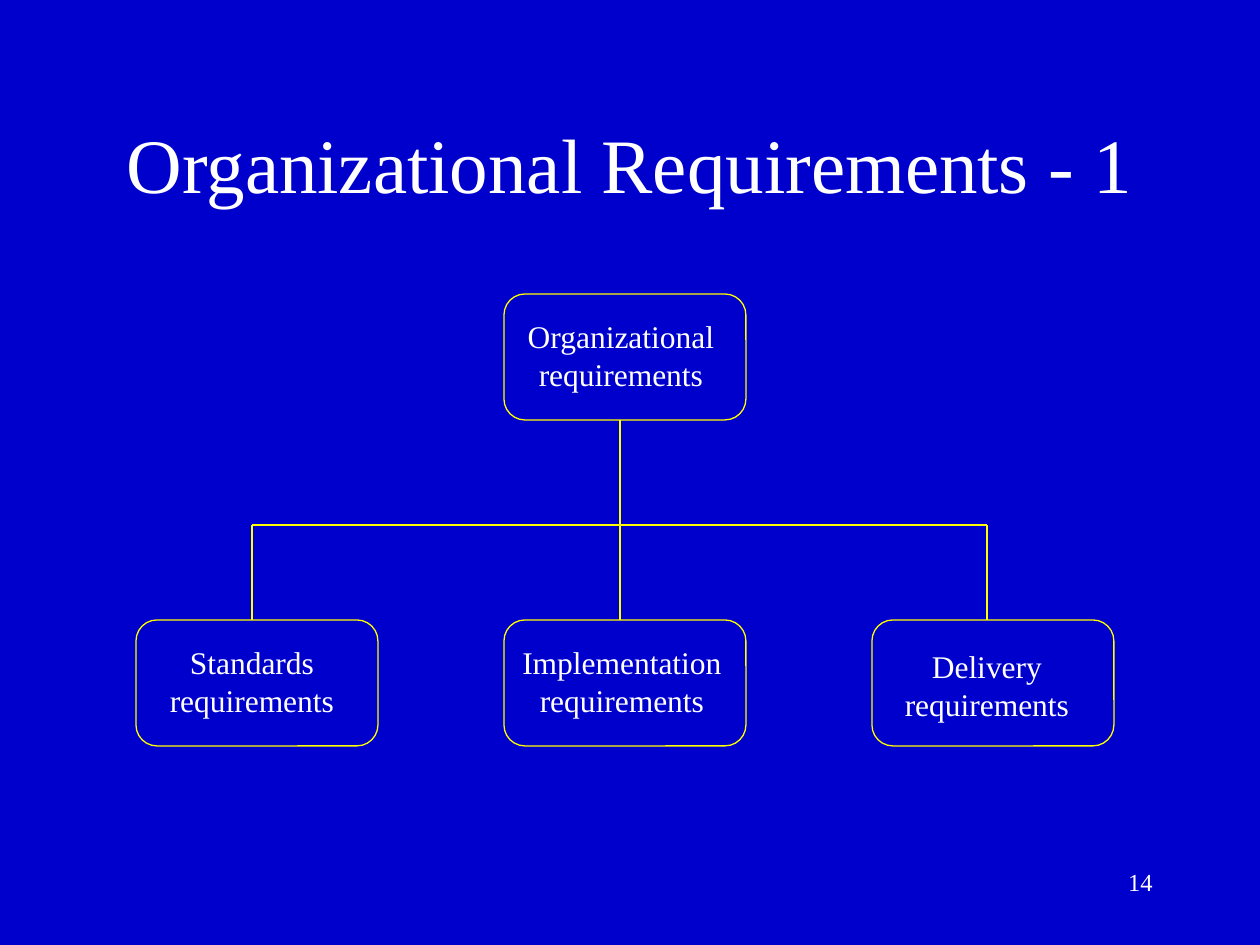
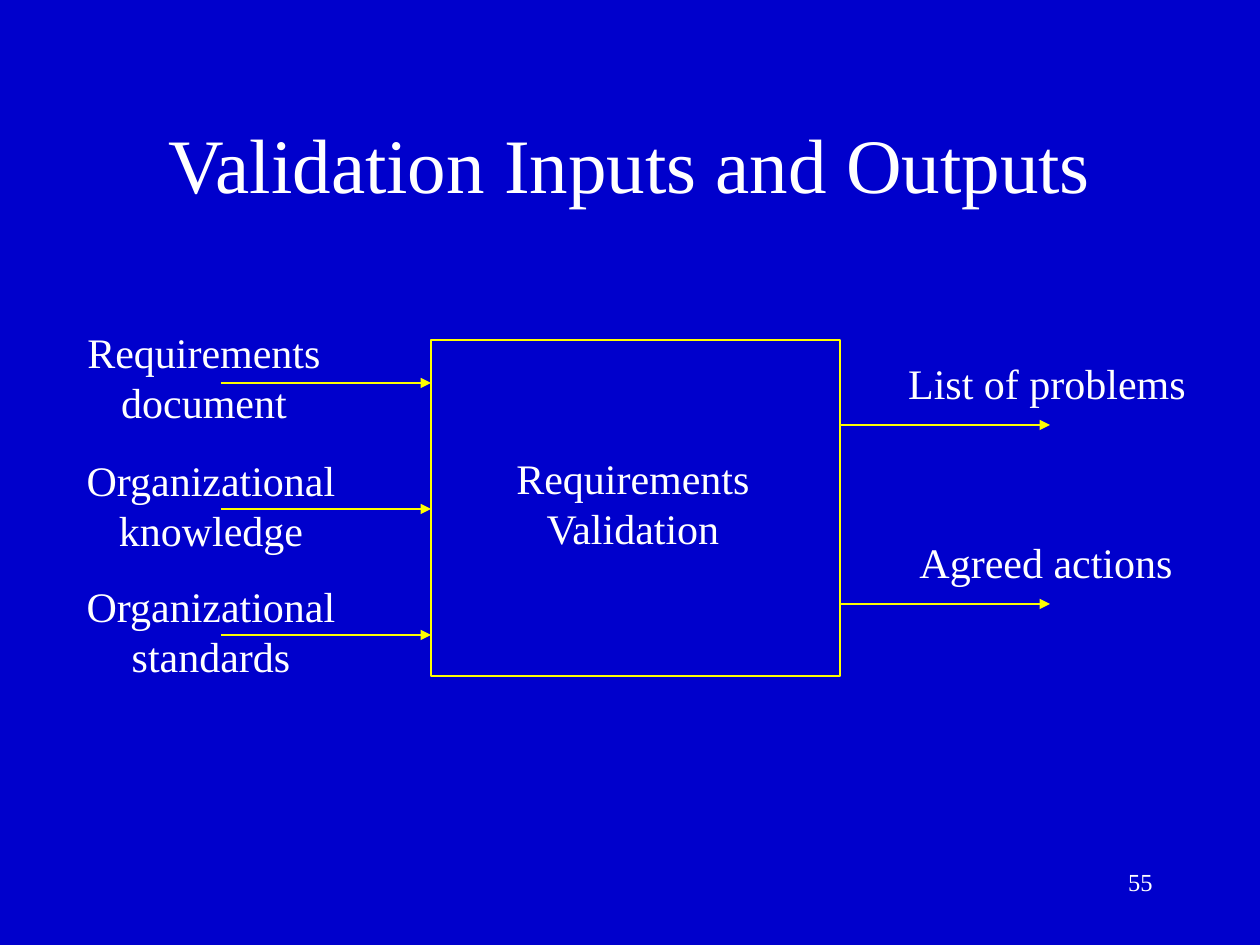
from lxml import etree
from pptx import Presentation
from pptx.dml.color import RGBColor
from pptx.enum.shapes import MSO_CONNECTOR as Connector, MSO_SHAPE as Shape
from pptx.enum.text import MSO_ANCHOR as Anchor, MSO_AUTO_SIZE as AutoSize, PP_ALIGN as Align
from pptx.oxml.ns import qn
from pptx.util import Emu, Pt

PX_PER_INCH = 126
COLOURS = {"background": "0000CC", "text": "FFFFFF", "line": "FFFF00"}
FONT = "Times New Roman"
LINE_WIDTH = Pt(0.75)


def px(length):
    return Emu(round(length * 914400 / PX_PER_INCH))


def colour(name):
    return RGBColor.from_string(COLOURS[name])


def add_text(slide, box, lines, size, align=Align.CENTER):
    """Put each line in a paragraph of its own and return the text frame."""
    frame = slide.shapes.add_textbox(*map(px, box)).text_frame
    frame.word_wrap = True
    for index, line in enumerate(lines):
        paragraph = frame.add_paragraph() if index else frame.paragraphs[0]
        paragraph.alignment = align
        run = paragraph.add_run()
        run.text = line
        run.font.name = FONT
        run.font.size = Pt(size)
        run.font.color.rgb = colour("text")
    return frame


def add_label(slide, centre, top, width, lines, size):
    """Add unwrapped text that grows around a horizontal centre."""
    height = round(len(lines) * size * 2.1 + 13)
    frame = add_text(slide, (centre - width / 2, top, width, height), lines, size)
    frame.word_wrap = False
    frame.auto_size = AutoSize.SHAPE_TO_FIT_TEXT


def add_outline(slide, kind, left, top, width, height):
    shape = slide.shapes.add_shape(kind, px(left), px(top), px(width), px(height))
    shape.shadow.inherit = False
    shape.fill.background()
    shape.line.color.rgb = colour("line")
    shape.line.width = LINE_WIDTH


def add_line(slide, start, end, arrow=False):
    connector = slide.shapes.add_connector(
        Connector.STRAIGHT, *map(px, start), *map(px, end))
    connector.line.color.rgb = colour("line")
    connector.line.width = LINE_WIDTH
    properties = connector._element.spPr
    if arrow:
        etree.SubElement(properties.find(qn("a:ln")), qn("a:tailEnd"), type="triangle")
    etree.SubElement(properties, qn("a:effectLst"))


def add_slide(presentation, title, number):
    """Add a slide with the shared background, title and page number."""
    slide = presentation.slides.add_slide(presentation.slide_layouts[6])
    slide.background.fill.solid()
    slide.background.fill.fore_color.rgb = colour("background")
    frame = add_text(slide, (94, 84, 1072, 158), [title], 44)
    frame.vertical_anchor = Anchor.MIDDLE
    add_text(slide, (903, 861, 262, 63), [str(number)], 14, Align.RIGHT)
    return slide


def build_hierarchy(presentation):
    slide = add_slide(presentation, "Organizational Requirements - 1", 14)
    box_width, box_height = 242, 126
    root_top, branch_y, child_top = 294, 525, 620
    left_x, middle_x, right_x = 252, 620, 987

    add_outline(slide, Shape.ROUNDED_RECTANGLE, 504, root_top, box_width, box_height)
    for column in range(3):
        add_outline(slide, Shape.ROUNDED_RECTANGLE, 136 + 368 * column, child_top,
                    box_width, box_height)

    add_line(slide, (middle_x, root_top + box_height), (middle_x, child_top))
    add_line(slide, (left_x, branch_y), (right_x, branch_y))
    for x in (left_x, right_x):
        add_line(slide, (x, child_top), (x, branch_y))

    for name, centre, top, width in (
        ("Organizational", 621, 311, 220),
        ("Standards", 252, 637, 200),
        ("Implementation", 622, 637, 236),
        ("Delivery", 987, 641, 200),
    ):
        add_label(slide, centre, top, width, [name, "requirements"], 18)


def build_validation_flow(presentation):
    slide = add_slide(presentation, "Validation Inputs and Outputs", 55)
    box_left, box_width, arrow_length = 431, 409, 210
    box_right = box_left + box_width
    add_outline(slide, Shape.RECTANGLE, box_left, 340, box_width, 336)

    for row in range(3):
        y = 383 + 126 * row
        add_line(slide, (box_left - arrow_length, y), (box_left, y), arrow=True)
    for y in (425, 604):
        add_line(slide, (box_right, y), (box_right + arrow_length, y), arrow=True)

    for lines, centre, top, width in (
        (["Requirements", "Validation"], 633, 446, 270),
        (["Requirements", "document"], 204, 320, 270),
        (["Organizational", "knowledge"], 211, 448, 286),
        (["Organizational", "standards"], 211, 574, 286),
        (["List of problems"], 1047, 351, 314),
        (["Agreed actions"], 1046, 530, 290),
    ):
        add_label(slide, centre, top, width, lines, 24)


def main():
    presentation = Presentation()
    presentation.slide_width = px(1260)
    presentation.slide_height = px(945)
    build_hierarchy(presentation)
    build_validation_flow(presentation)
    presentation.save("out.pptx")


if __name__ == "__main__":
    main()
